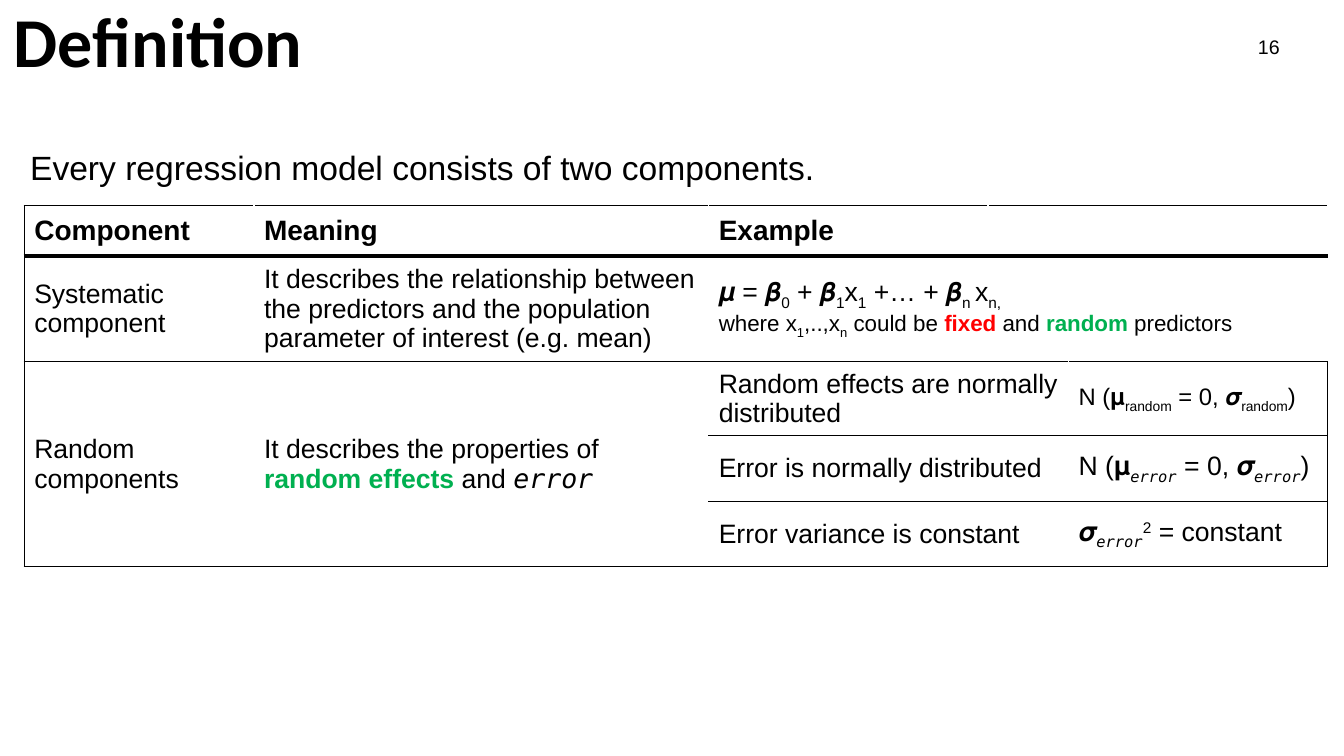
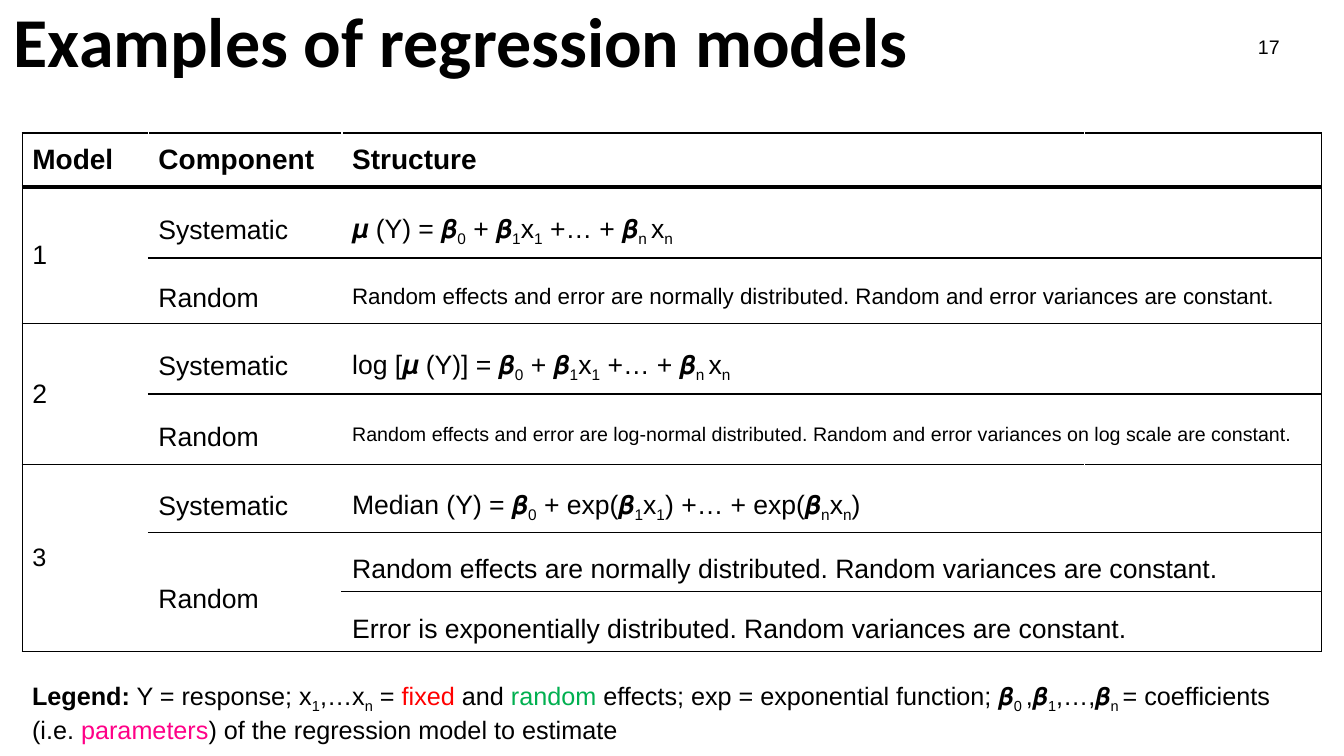
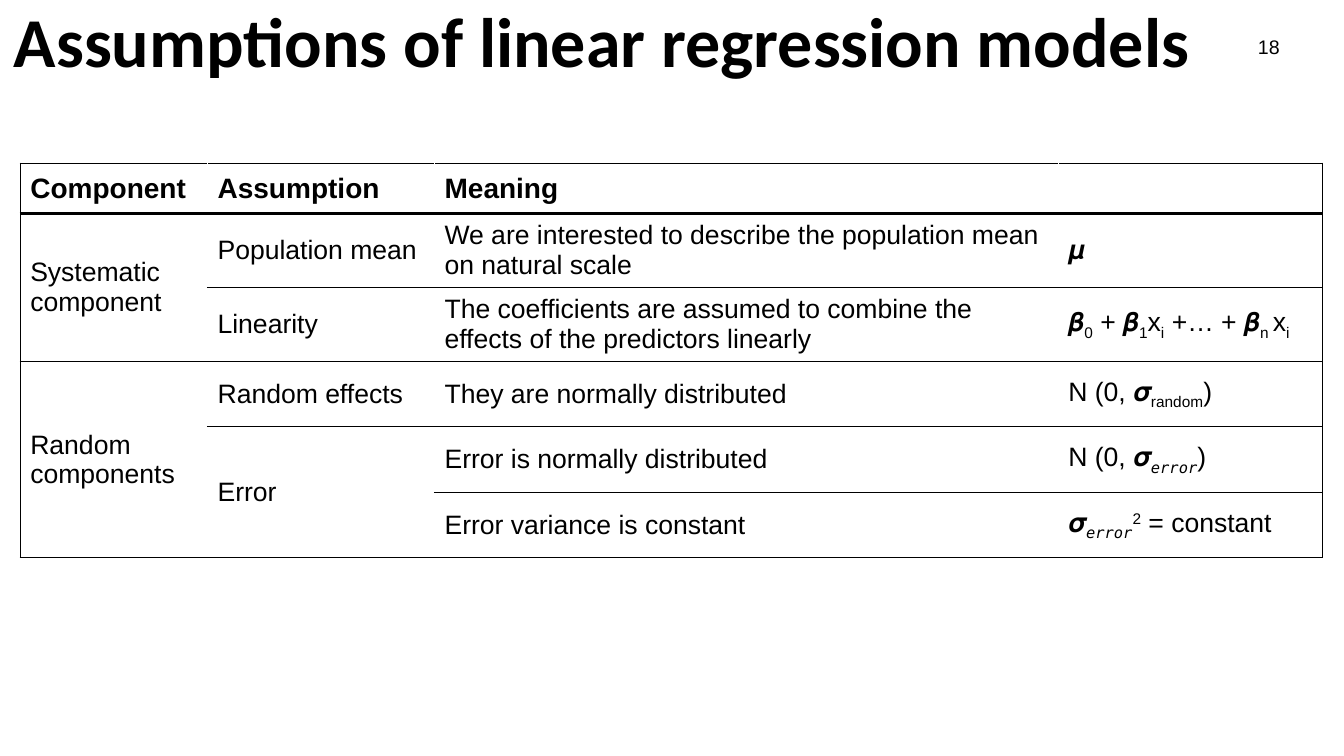
from itertools import product, takewhile

from lxml import etree
from pptx import Presentation
from pptx.dml.color import RGBColor
from pptx.enum.text import MSO_ANCHOR as Anchor
from pptx.oxml.ns import qn
from pptx.util import Cm, Pt

# Shared look
INK, PAPER = "000000", "FFFFFF"
RED, GREEN, PINK = "FF0000", "00B050", "FF0087"
THIN, THICK = Pt(1), Pt(3)
BODY = {"name": "Arial", "size": Pt(19), "bold": False, "color": INK}
HEADER = {**BODY, "size": Pt(20), "bold": True}
TITLE = {**BODY, "name": "Calibri", "size": Pt(50), "bold": True}
SMALL, TINY = Pt(16), Pt(14)
MONO = {"name": "DejaVu Sans Mono", "italic": True}

# Marked text: "plain |Xstyled| plain", where X is one of these keys
MARKS = {
    "_": {"baseline": "-25000"},
    "^": {"baseline": "30000"},
    "e": {**MONO, "baseline": "-25000"},
    "m": MONO,
    "b": {"bold": True},
    "R": {"color": RED, "bold": True},
    "G": {"color": GREEN, "bold": True},
    "r": {"color": RED},
    "g": {"color": GREEN},
    "p": {"color": PINK},
}


def write(paragraph, marked_text, look, spacing=1.0):
    """Write marked text as formatted runs."""
    paragraph.line_spacing = spacing
    styled = True
    for part in marked_text.split("|"):
        styled = not styled
        if not part:
            continue
        values = {**look, **MARKS[part[0]]} if styled else dict(look)
        run = paragraph.add_run()
        run.text = part[1:] if styled else part
        run.font.color.rgb = RGBColor.from_string(values.pop("color"))
        if "baseline" in values:
            run._r.get_or_add_rPr().set("baseline", values.pop("baseline"))
        for name, value in values.items():
            setattr(run.font, name, value)


def add_text(slide, box, marked_text, look, spacing=1.0, anchor=Anchor.TOP):
    """Add a wrapped text box; box is left, top, width, height in cm."""
    frame = slide.shapes.add_textbox(*map(Cm, box)).text_frame
    frame.word_wrap = True
    frame.vertical_anchor = anchor
    write(frame.paragraphs[0], marked_text, look, spacing)


# Formulas used more than once
LINEAR = "𝜷|_0| + 𝜷|_1|x|_1| +… + 𝜷|_n |x|_n"
CONSTANT = "𝝈|eerror||^2| = constant"

# Content: LEFT and UP join a cell to its neighbour, a pair is text and size
LEFT, UP = "<", "^"
HEAD_ROW, ROW = 1.27, 1.65
pages = [
    {
        "title": "Definition",
        "number": "16",
        "corner": (0.61, 5.18),
        "widths": [5.79, 11.46, 7.04, 2.03, 6.53],
        "heights": [HEAD_ROW] + [ROW] * 4,
        "open_rows": 2,
        "spacing": 1.0,
        "rows": [
            ["Component", "Meaning", "Example", "", LEFT],
            ["Systematic component",
             "It describes the relationship between the predictors and "
             "the population parameter of interest (e.g. mean)",
             "𝝁 = " + LINEAR + ",\n"
             "where x|_1|,..,x|_n| could be |Rfixed| and |Grandom| predictors",
             LEFT, LEFT],
            ["Random components",
             "It describes the properties of |Grandom effects| and |merror|",
             "Random effects are normally distributed", LEFT,
             ("N (𝛍|_random| = 0, 𝝈|_random|)", Pt(17))],
            [UP, UP, "Error is normally distributed", LEFT,
             "N (𝛍|eerror| = 0, 𝝈|eerror|)"],
            [UP, UP, "Error variance is constant", LEFT, CONSTANT],
        ],
    },
    {
        "title": "Examples of regression models",
        "number": "17",
        "corner": (0.56, 3.35),
        "widths": [3.18, 4.88, 18.72, 5.97],
        "heights": [1.37, 1.78, ROW, 1.78, 1.78, 1.7, 1.5, 1.5],
        "open_rows": 0,
        "spacing": 1.5,
        "rows": [
            ["Model", "Component", "Structure", ""],
            ["1", "Systematic", "𝝁 (Y) = " + LINEAR, ""],
            [UP, "Random",
             ("Random effects and error are normally distributed. "
              "Random and error variances are constant.", SMALL), LEFT],
            ["2", "Systematic", "log [𝝁 (Y)] = " + LINEAR, LEFT],
            [UP, "Random",
             ("Random effects and error are log-normal distributed. "
              "Random and error variances on log scale are constant.", TINY), LEFT],
            [("3", Pt(18)), "Systematic",
             "Median (Y) = 𝜷|_0| + exp(𝜷|_1|x|_1|) +… + exp(𝜷|_n|x|_n|)", ""],
            [UP, "Random",
             "Random effects are normally distributed. "
             "Random variances are constant.", LEFT],
            [UP, UP,
             "Error is exponentially distributed. "
             "Random variances are constant.", LEFT],
        ],
    },
    {
        "title": "Assumptions of linear regression models",
        "number": "18",
        "corner": (0.51, 4.11),
        "widths": [4.72, 5.72, 15.72, 6.65],
        "heights": [HEAD_ROW] + [ROW] * 5,
        "open_rows": 0,
        "spacing": 1.0,
        "rows": [
            ["Component", "Assumption", "Meaning", ""],
            ["Systematic component", "Population mean",
             "We are interested to describe the population mean on natural scale",
             "𝝁"],
            [UP, "Linearity",
             "The coefficients are assumed to combine the effects "
             "of the predictors linearly",
             LINEAR.replace("x|_1", "x|_i").replace("x|_n", "x|_i")],
            ["Random components", "Random effects",
             "They are normally distributed", "N (0, 𝝈|_random|)"],
            [UP, "Error", "Error is normally distributed", "N (0, 𝝈|eerror|)"],
            [UP, UP, "Error variance is constant", CONSTANT],
        ],
    },
]

deck = Presentation()
deck.slide_width, deck.slide_height = Cm(33.87), Cm(19.05)
slides = []

for page in pages:
    slide = deck.slides.add_slide(deck.slide_layouts[6])
    slides.append(slide)

    # Title and page number
    add_text(slide, (0.1, 0.05, 33.86, 2.16), page["title"], TITLE, 0.9, Anchor.BOTTOM)
    add_text(slide, (31.45, 0.76, 1.65, 1.02), page["number"], {**BODY, "size": TINY})

    # Table grid
    widths, heights, rows = page["widths"], page["heights"], page["rows"]
    extent = (*page["corner"], sum(widths), sum(heights))
    table = slide.shapes.add_table(len(heights), len(widths), *map(Cm, extent)).table
    table.first_row = table.horz_banding = False
    for column, width in zip(table.columns, widths):
        column.width = Cm(width)
    for line, height in zip(table.rows, heights):
        line.height = Cm(height)

    for row, col in product(range(len(heights)), range(len(widths))):
        content = rows[row][col]
        if content in (LEFT, UP):
            continue

        # Last row and column that the cell covers
        below = [line[col] for line in rows[row + 1:]]
        bottom = row + len(list(takewhile(lambda text: text == UP, below)))
        right = col + len(list(takewhile(lambda text: text == LEFT, rows[row][col + 1:])))
        cell = table.cell(row, col)
        if (bottom, right) != (row, col):
            cell.merge(table.cell(bottom, right))

        # Cell text; a second paragraph is a small note
        look = dict(BODY if row else HEADER)
        if isinstance(content, tuple):
            content, look["size"] = content
        spacing = page["spacing"] if row and col else 1.0
        statement, *notes = content.split("\n")
        write(cell.text_frame.paragraphs[0], statement, look, spacing)
        for note in notes:
            write(cell.text_frame.add_paragraph(), note, {**look, "size": SMALL}, spacing)

        # Cell borders: black rules, white between columns, black outer sides
        closed = right == len(widths) - 1 and row >= page["open_rows"]
        borders = {
            "a:lnL": (PAPER if col else INK, THIN),
            "a:lnR": (INK if closed else PAPER, THIN),
            "a:lnT": (INK, THICK if row == 1 else THIN),
            "a:lnB": (INK, THIN if row else THICK),
        }
        for place in product(range(row, bottom + 1), range(col, right + 1)):
            covered = table.cell(*place)
            covered.vertical_anchor = Anchor.MIDDLE
            covered.fill.background()
            properties = covered._tc.get_or_add_tcPr()
            for order, (tag, (color, weight)) in enumerate(borders.items()):
                edge = etree.Element(qn(tag), w=str(weight))
                fill = etree.SubElement(edge, qn("a:solidFill"))
                etree.SubElement(fill, qn("a:srgbClr"), val=color)
                properties.insert(order, edge)

# Texts around the tables
definition, examples, assumptions = slides
add_text(definition, (0.51, 3.07, 33.05, 1.6),
         "Every regression model consists of two components.",
         {**BODY, "size": Pt(24)}, 1.5)
add_text(examples, (0.56, 17.02, 32.54, 1.8),
         "|bLegend:| Y = response; x|_1|,…x|_n| = |rfixed| and |grandom |effects; "
         "exp = exponential function; 𝜷|_0 |,𝜷|_1|,…,𝜷|_n |= coefficients "
         "(i.e. |pparameters|) of the regression model to estimate",
         {**BODY, "size": Pt(18)})

deck.save("out.pptx")
